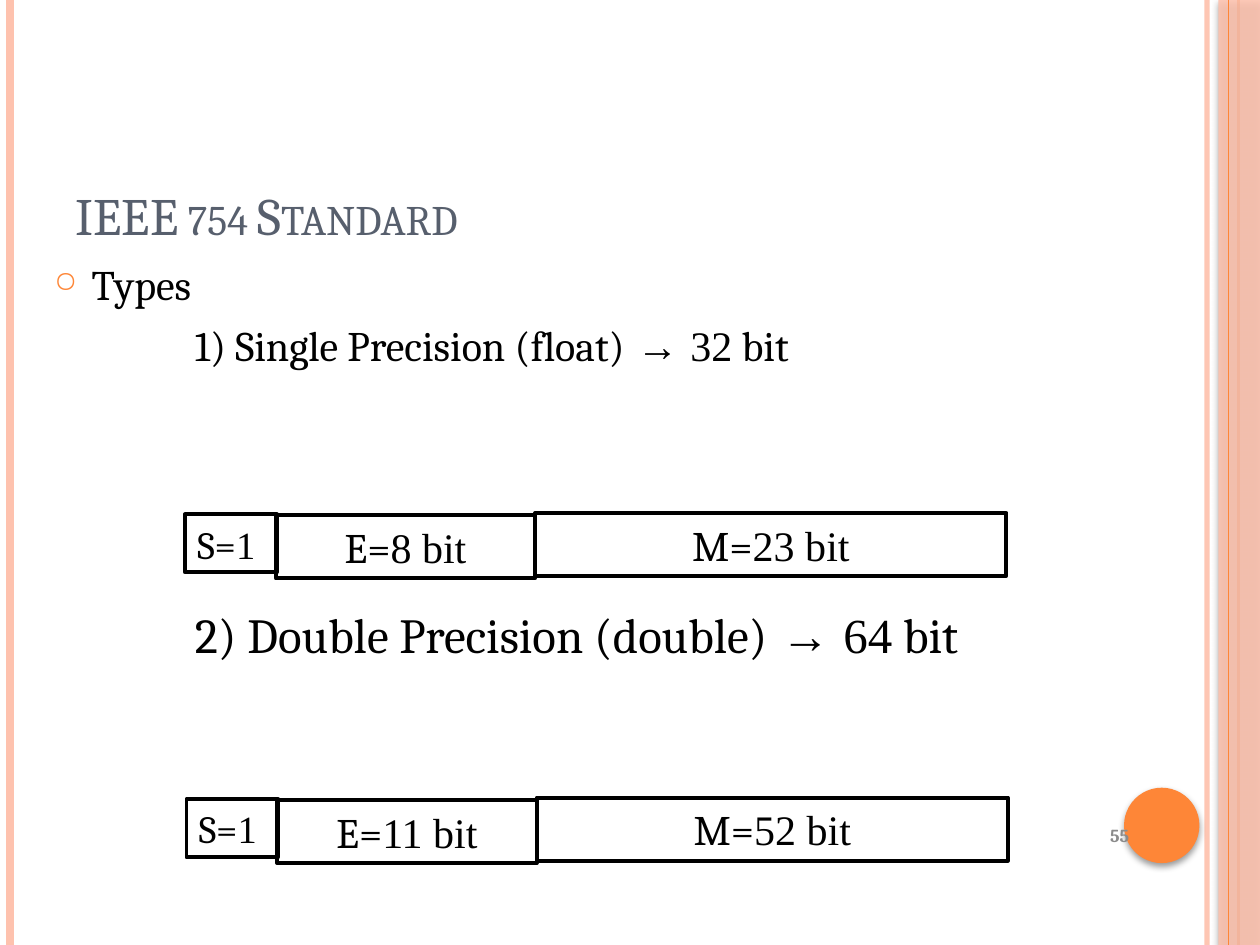
import pptx
import pptx.dml.color
import pptx.enum.shapes
import pptx.enum.text
import pptx.oxml
import pptx.oxml.ns
import pptx.util

Cm = pptx.util.Cm
Pt = pptx.util.Pt
RGBColor = pptx.dml.color.RGBColor
MSO_SHAPE = pptx.enum.shapes.MSO_SHAPE
PP_ALIGN = pptx.enum.text.PP_ALIGN
MSO_ANCHOR = pptx.enum.text.MSO_ANCHOR
MSO_AUTO_SIZE = pptx.enum.text.MSO_AUTO_SIZE
qn = pptx.oxml.ns.qn

ORANGE = RGBColor(0xFE, 0x86, 0x37)
PEACH = RGBColor(0xFE, 0xC2, 0xAE)
SLATE = RGBColor(0x57, 0x5F, 0x6D)
GRAY = RGBColor(0x8B, 0x8B, 0x8B)
BLACK = RGBColor(0, 0, 0)
SERIF, ROMAN, SANS = "Cambria", "Times New Roman", "Arial"
SLIDE_H = 19.05


def add_xml(parent, xml):
    ns = pptx.oxml.ns.nsdecls("a")
    parent.append(pptx.oxml.parse_xml(xml.replace("/>", f" {ns}/>", 1)
                  if xml.endswith("/>") and xml.count("<") == 1
                  else xml.replace(">", f" {ns}>", 1)))


def set_alpha(element, percent):
    color = element.find(".//" + qn("a:srgbClr"))
    add_xml(color, f'<a:alpha val="{percent * 1000}"/>')


def add_rule(slide, x, color, width, alpha=None):
    line = slide.shapes.add_connector(
        pptx.enum.shapes.MSO_CONNECTOR.STRAIGHT, Cm(x), 0, Cm(x), Cm(SLIDE_H))
    line.line.color.rgb = color
    line.line.width = Pt(width)
    if alpha:
        set_alpha(line.line._get_or_add_ln(), alpha)
    add_xml(line._element.spPr, "<a:effectLst/>")


def add_ornament(slide, kind, box, color, alpha=None):
    sp = slide.shapes.add_shape(kind, *map(Cm, box))
    sp.fill.solid()
    sp.fill.fore_color.rgb = color
    sp.line.fill.background()
    sp.shadow.inherit = False
    spPr = sp._element.spPr
    if alpha:
        set_alpha(spPr.find(qn("a:solidFill")), alpha)
    add_xml(spPr.find(qn("a:effectLst")),
            f'<a:outerShdw blurRad="{Pt(4)}" dist="{Pt(2)}" dir="5400000" rotWithShape="0">'
            '<a:srgbClr val="000000"><a:alpha val="40000"/></a:srgbClr></a:outerShdw>')


def add_text_box(slide, box, anchor=MSO_ANCHOR.TOP):
    tf = slide.shapes.add_textbox(*map(Cm, box)).text_frame
    tf.word_wrap = True
    tf.vertical_anchor = anchor
    return tf


def set_indent(p, margin, first=0):
    pPr = p._p.get_or_add_pPr()
    pPr.set("marL", str(Cm(margin)))
    pPr.set("indent", str(Cm(first)))
    return pPr


def write(p, parts, size, color=BLACK):
    p.font.size = Pt(size)
    p.font.color.rgb = color
    for text, font in parts:
        r = p.add_run()
        r.text = text
        r.font.name = font


def write_precision(p, label, bits, size):
    set_indent(p, 2.84)
    write(p, [(label, SERIF), (" → ", SANS), (bits, ROMAN), (" bit", SERIF)], size)


def add_field(slide, box, label, value, size, align, wrap):
    sp = slide.shapes.add_shape(MSO_SHAPE.RECTANGLE, *map(Cm, box))
    sp.shadow.inherit = False
    sp.fill.background()
    sp.line.color.rgb = BLACK
    sp.line.width = Pt(2.25)
    tf = sp.text_frame
    tf.word_wrap = wrap
    tf.auto_size = MSO_AUTO_SIZE.SHAPE_TO_FIT_TEXT
    tf.vertical_anchor = MSO_ANCHOR.TOP
    p = tf.paragraphs[0]
    p.alignment = align
    write(p, [(label, SERIF), (value, ROMAN)], size)


def add_format_row(slide, x, y, exponent, mantissa):
    add_field(slide, (x, y + 0.03, 1.85, 1.17), "S=", "1", 22, PP_ALIGN.LEFT, False)
    add_field(slide, (x + 1.83, y + 0.05, 5.23, 1.27), "E=", exponent, 24,
              PP_ALIGN.CENTER, True)
    add_field(slide, (x + 7.06, y, 9.5, 1.27), "M=", mantissa, 24,
              PP_ALIGN.CENTER, True)


def add_decoration(slide):
    add_rule(slide, 24.33, PEACH, 3, 93)
    add_rule(slide, 0.2, PEACH, 4.5)
    add_rule(slide, 24.97, ORANGE, 1.5)
    add_ornament(slide, MSO_SHAPE.RECTANGLE, (24.56, 0, 0.84, SLIDE_H), PEACH, 87)
    add_rule(slide, 24.77, ORANGE, 0.75)
    add_ornament(slide, MSO_SHAPE.OVAL, (22.66, 15.88, 1.52, 1.52), ORANGE)


def add_title(slide):
    p = add_text_box(slide, (1.27, 2.11, 22.86, 2.97), MSO_ANCHOR.BOTTOM).paragraphs[0]
    write(p, [("IEEE 754 Standard", SERIF)], 30, SLATE)
    p.runs[0].font._element.set("cap", "small")


def add_types(slide):
    tf = add_text_box(slide, (0.84, 5.08, 22.86, 3.18))
    p = tf.paragraphs[0]
    pPr = set_indent(p, 0.76, -0.76)
    add_xml(pPr, f'<a:buClr><a:srgbClr val="{ORANGE}"/></a:buClr>')
    add_xml(pPr, '<a:buSzPct val="70000"/>')
    add_xml(pPr, '<a:buChar char="○"/>')
    write(p, [("Types", SERIF)], 24)
    p = tf.add_paragraph()
    p.space_before = Pt(6)
    write_precision(p, "1) Single Precision (float)", "32", 24)


def add_page_number(slide):
    p = add_text_box(slide, (21.41, 16.33, 1.6, 1.02), MSO_ANCHOR.MIDDLE).paragraphs[0]
    p.alignment = PP_ALIGN.RIGHT
    p.font.bold = True
    write(p, [("55", SERIF)], 10.5, GRAY)


def main():
    prs = pptx.Presentation()
    prs.slide_width, prs.slide_height = Cm(25.4), Cm(SLIDE_H)
    slide = prs.slides.add_slide(prs.slide_layouts[6])
    add_decoration(slide)
    add_title(slide)
    add_types(slide)
    add_page_number(slide)
    tf = add_text_box(slide, (0.84, 12.07, 22.86, 2.11))
    write_precision(tf.paragraphs[0], "2) Double Precision (double)", "64", 28)
    add_format_row(slide, 3.73, 10.34, "8 bit", "23 bit")
    add_format_row(slide, 3.76, 16.08, "11 bit", "52 bit")
    prs.save("out.pptx")


if __name__ == "__main__":
    main()
